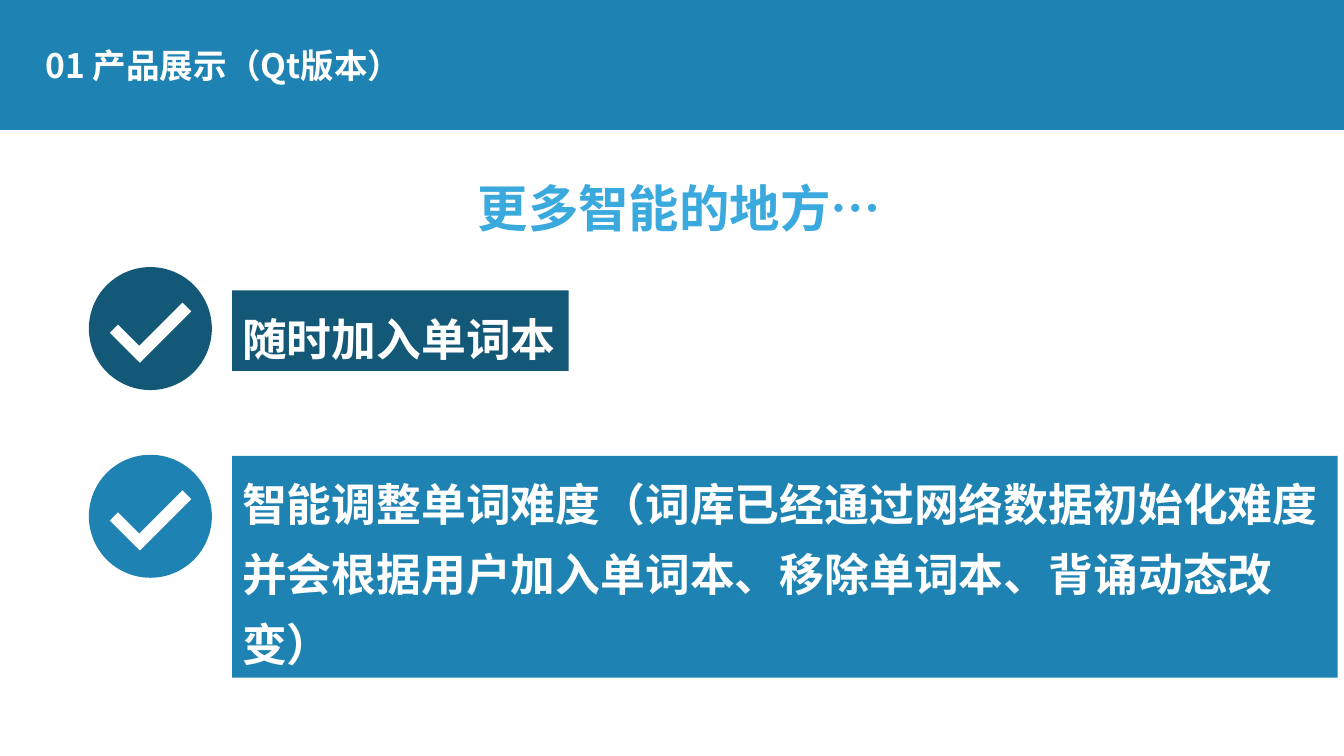
from pptx import Presentation
from pptx.dml.color import RGBColor as Rgb
from pptx.enum.shapes import MSO_SHAPE as Kind
from pptx.enum.text import MSO_ANCHOR as Anchor, MSO_AUTO_SIZE as Fit, PP_ALIGN as Align
from pptx.oxml.ns import qn
from pptx.util import Cm, Pt
from lxml.etree import SubElement

FONT = "Noto Sans CJK SC"
COLORS = {"blue": "1E83B3", "navy": "145878", "sky": "39A9DE", "white": "FFFFFF"}
WIDE, HIGH, BAND = 33.87, 19.05, 3.28


def tint(name):
    return Rgb.from_string(COLORS[name])


def write(frame, *lines, size=32, color="white", space=1.3, wrap=False,
          fit=Fit.SHAPE_TO_FIT_TEXT, anchor=Anchor.TOP):
    frame.word_wrap, frame.auto_size = wrap, fit
    frame.vertical_anchor = anchor
    for i, line in enumerate(lines):
        para = frame.add_paragraph() if i else frame.paragraphs[0]
        para.alignment, para.line_spacing = Align.LEFT, space
        run = para.add_run()
        run.text = line
        font = run.font
        font.size, font.bold, font.name = Pt(size), True, FONT
        font.color.rgb = tint(color)
        # East Asian typeface
        SubElement(font._element, qn("a:ea"), typeface=FONT)


def draw(slide, kind, box, color):
    shape = slide.shapes.add_shape(kind, *map(Cm, box))
    shape.shadow.inherit = False
    shape.fill.solid()
    shape.fill.fore_color.rgb = tint(color)
    shape.line.fill.background()
    return shape


def header(slide, box, text):
    left, top, width, height = box
    # Blue band over a white page
    slide.background.fill.solid()
    slide.background.fill.fore_color.rgb = tint("blue")
    draw(slide, Kind.RECTANGLE, (left, top + height, width, HIGH - height), "white")
    title = slide.shapes.title
    title.left, title.top = Cm(left + 0.89), Cm(top + 0.71)
    title.width, title.height = Cm(14.73), Cm(2)
    write(title.text_frame, text, size=24, space=0.9, wrap=True,
          fit=Fit.NONE, anchor=Anchor.MIDDLE)


def heading(slide, box, text):
    frame = slide.shapes.add_textbox(*map(Cm, box)).text_frame
    write(frame, text, size=36, color="sky")


def point(slide, box, lines, color, drop):
    left, top, width, height = box
    # Round badge with a tick
    draw(slide, Kind.OVAL, (left, top, 3.1, 3.1), color)
    tick = draw(slide, Kind.CORNER, (left + 0.64, top + 0.85, 1.83, 1.07), "white")
    tick.adjustments[0], tick.adjustments[1] = 0.29, 0.27
    tick.rotation = 315
    # Label, lowered by drop
    label = draw(slide, Kind.RECTANGLE,
                 (left + 3.61, top + drop, width - 3.61, height), color)
    write(label.text_frame, *lines)


def main():
    deck = Presentation()
    deck.slide_width, deck.slide_height = Cm(WIDE), Cm(HIGH)
    slide = deck.slides.add_slide(deck.slide_layouts[5])
    header(slide, (0, 0, WIDE, BAND), "01 产品展示（Qt版本）")
    heading(slide, (11.79, 3.89, 10.72, 2.26), "更多智能的地方…")
    point(slide, (2.24, 6.73, 12.09, 2.03), ["随时加入单词本"], "navy", 0.59)
    point(slide, (2.24, 11.46, 31.47, 5.59),
          ["智能调整单词难度（词库已经通过网络数据初始化难度",
           "并会根据用户加入单词本、移除单词本、背诵动态改",
           "变）"], "blue", 0.03)
    deck.save("out.pptx")


if __name__ == "__main__":
    main()
